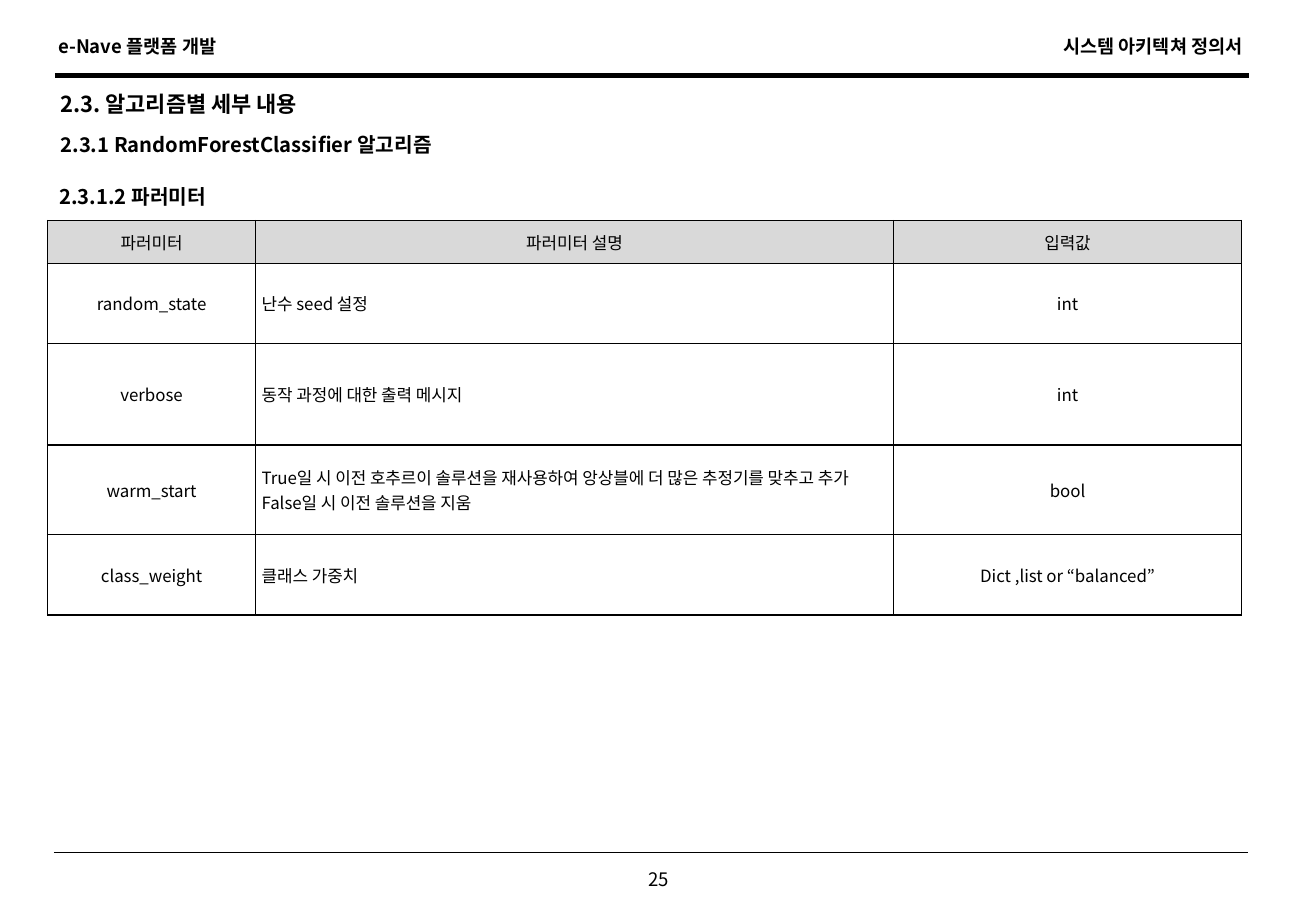
from lxml.etree import SubElement
from pptx import Presentation
from pptx.dml.color import RGBColor
from pptx.enum.shapes import MSO_CONNECTOR
from pptx.enum.text import MSO_ANCHOR, PP_ALIGN
from pptx.oxml.ns import qn
from pptx.util import Pt

BLACK = RGBColor(0x00, 0x00, 0x00)
HEADER_GRAY = RGBColor(0xD9, 0xD9, 0xD9)
FONT = "Noto Sans CJK KR"
LEFT, CENTER, RIGHT = PP_ALIGN.LEFT, PP_ALIGN.CENTER, PP_ALIGN.RIGHT

TITLE = ("2.3. 알고리즘별 세부 내용", 28.8, 46.8, 13)
SUBHEADINGS = [
    ("2.3.1 RandomForestClassifier 알고리즘", 28.8, 70.6, 12),
    ("2.3.1.2 파러미터", 28.1, 101.5, 12),
]
HEADING_SIZE = (702, 29.5)
MARGIN_TEXTS = [
    ("e-Nave 플랫폼 개발", 27.4, 17.3, 122.4, LEFT, True),
    ("시스템 아키텍쳐 정의서", 610.6, 17.3, 133.2, RIGHT, True),
    ("25", 375.1, 511.2, 31, CENTER, False),
]
RULES = [(32.6, 44.9, 2.75), (31.9, 505.3, 0.75)]
RULE_WIDTH = 707.6

PARAMETERS = [
    ("파러미터", "파러미터 설명", "입력값"),
    ("random_state", "난수 seed 설정", "int"),
    ("verbose", "동작 과정에 대한 출력 메시지", "int"),
    ("warm_start", "True일 시 이전 호추르이 솔루션을 재사용하여 앙상블에 더 많은 추정기를 맞추고 추가\n"
                   "False일 시 이전 솔루션을 지움", "bool"),
    ("class_weight", "클래스 가중치", "Dict ,list or “balanced”"),
]
TABLE_AT = (28.2, 130.8)
COLUMN_WIDTHS = [123.3, 378, 206.5]
ROW_HEIGHTS = [25.4, 47.5, 60.1, 53.2, 47.5]


def write(tf, text, size, align=LEFT, bold=False):
    for i, line in enumerate(text.split("\n")):
        p = tf.add_paragraph() if i else tf.paragraphs[0]
        p.alignment = align
        r = p.add_run()
        r.text = line
        r.font.size = Pt(size)
        r.font.bold = bold
        r.font.color.rgb = BLACK
        r.font.name = FONT
        SubElement(r._r.get_or_add_rPr(), qn("a:ea"), typeface=FONT)


def write_heading(sp, text, left, top, size):
    sp.left, sp.top = Pt(left), Pt(top)
    sp.width, sp.height = [Pt(v) for v in HEADING_SIZE]
    sp.text_frame.word_wrap = True
    sp.text_frame.vertical_anchor = MSO_ANCHOR.MIDDLE
    write(sp.text_frame, text, size, bold=True)


def add_borders(cell):
    tcPr = cell._tc.get_or_add_tcPr()
    for side in ("a:lnL", "a:lnR", "a:lnT", "a:lnB"):
        ln = SubElement(tcPr, qn(side), w=str(Pt(1)))
        fill = SubElement(ln, qn("a:solidFill"))
        SubElement(fill, qn("a:srgbClr"), val=str(BLACK))


def add_parameter_table(s):
    frame = s.shapes.add_table(
        len(ROW_HEIGHTS), len(COLUMN_WIDTHS), *[Pt(v) for v in TABLE_AT],
        Pt(sum(COLUMN_WIDTHS)), Pt(sum(ROW_HEIGHTS)))
    table = frame.table
    table.first_row = table.horz_banding = False
    for column, width in zip(table.columns, COLUMN_WIDTHS):
        column.width = Pt(width)
    for row, height in zip(table.rows, ROW_HEIGHTS):
        row.height = Pt(height)
    for i, values in enumerate(PARAMETERS):
        for j, text in enumerate(values):
            cell = table.cell(i, j)
            cell.vertical_anchor = MSO_ANCHOR.MIDDLE
            cell.margin_left = cell.margin_right = Pt(3.6)
            cell.margin_top = cell.margin_bottom = Pt(2)
            add_borders(cell)
            if i == 0:
                cell.fill.solid()
                cell.fill.fore_color.rgb = HEADER_GRAY
            else:
                cell.fill.background()
            write(cell.text_frame, text, 10, LEFT if i and j == 1 else CENTER)


def main():
    prs = Presentation()
    prs.slide_width, prs.slide_height = Pt(780), Pt(540)
    s = prs.slides.add_slide(prs.slide_layouts[5])

    for left, top, weight in RULES:
        line = s.shapes.add_connector(
            MSO_CONNECTOR.STRAIGHT, Pt(left), Pt(top), Pt(left + RULE_WIDTH), Pt(top))
        line.line.color.rgb = BLACK
        line.line.width = Pt(weight)
        SubElement(line._element.spPr, qn("a:effectLst"))

    for text, left, top, width, align, bold in MARGIN_TEXTS:
        sp = s.shapes.add_textbox(Pt(left), Pt(top), Pt(width), Pt(20.9))
        sp.text_frame.word_wrap = False
        write(sp.text_frame, text, 11, align, bold)

    write_heading(s.shapes.title, *TITLE)
    for heading in SUBHEADINGS:
        write_heading(s.shapes.add_textbox(0, 0, 0, 0), *heading)

    add_parameter_table(s)
    prs.save("out.pptx")


if __name__ == "__main__":
    main()
